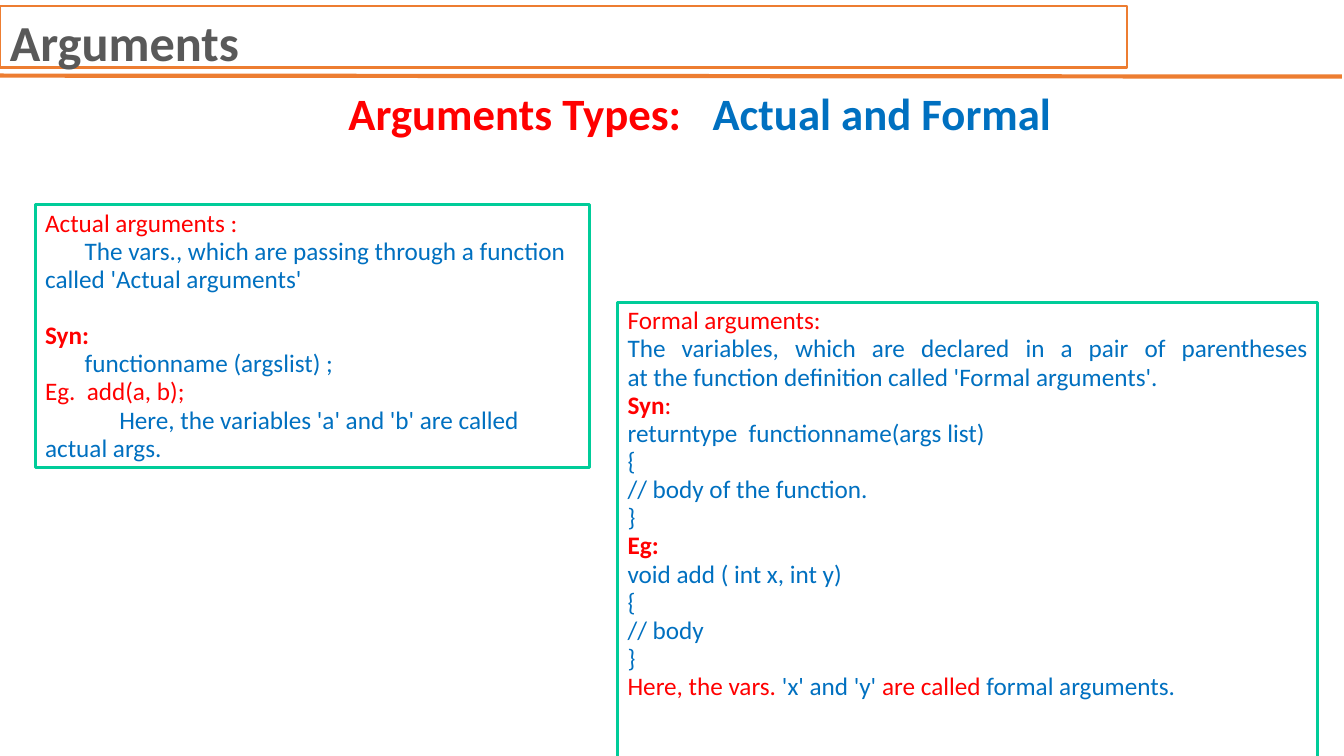
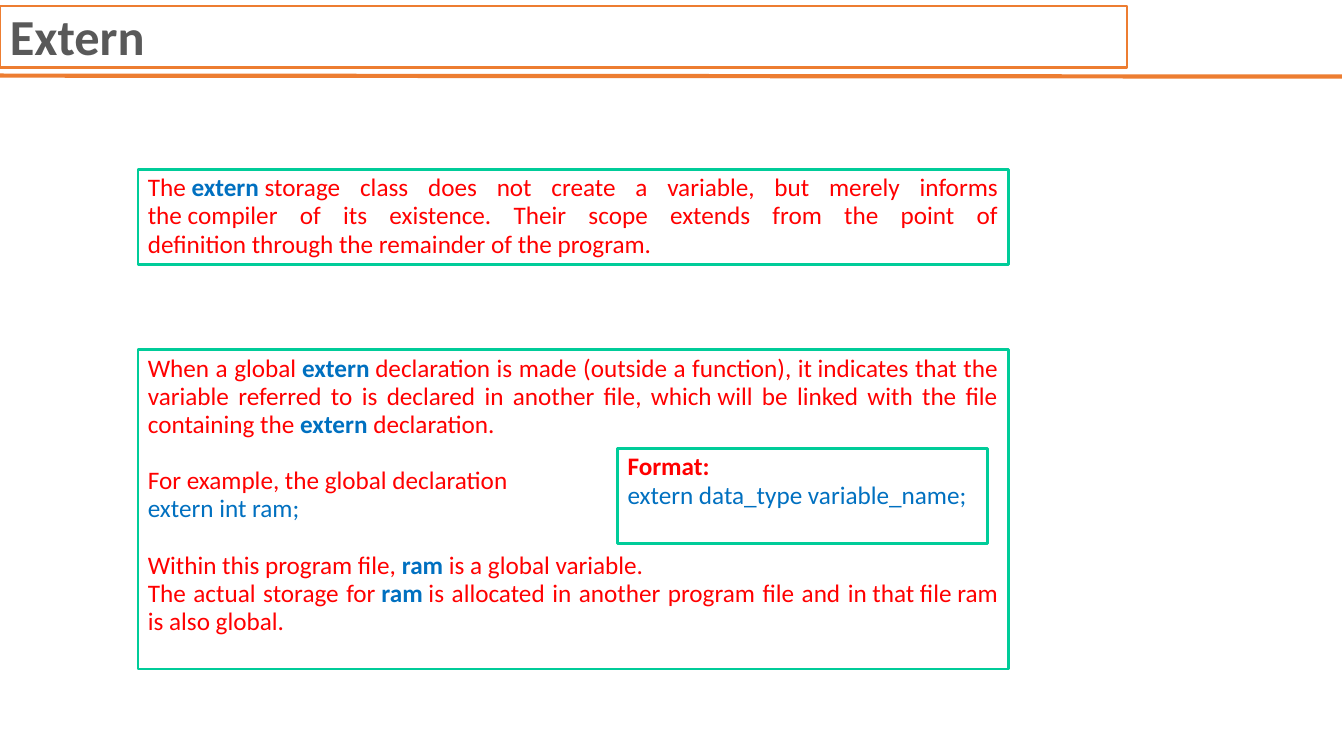
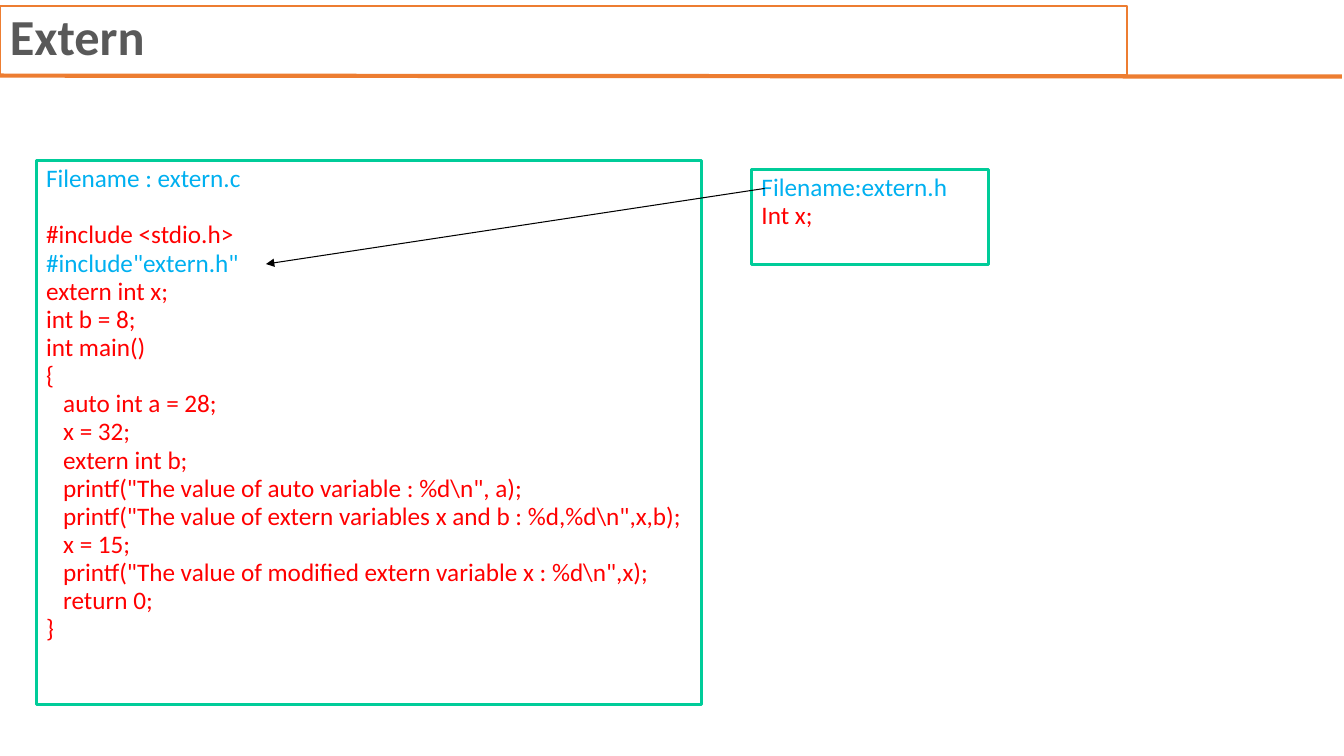
from dataclasses import dataclass

from lxml.etree import SubElement
from pptx import Presentation
from pptx.dml.color import RGBColor
from pptx.enum.shapes import MSO_CONNECTOR, MSO_SHAPE
from pptx.enum.text import MSO_ANCHOR, PP_ALIGN
from pptx.oxml.ns import qn
from pptx.util import Pt


@dataclass(frozen=True)
class Theme:
    font: str = "Calibri"
    title_size: float = 36
    heading_size: float = 32
    body_size: float = 18
    spacing: float = 0.93
    skipped_line: float = 20.1
    title: str = "595959"
    accent: str = "ED7D31"
    frame: str = "00CC99"
    paper: str = "FFFFFF"
    arrow: str = "000000"
    red: str = "FF0000"
    blue: str = "0070C0"
    cyan: str = "00B0F0"


THEME = Theme()

# Run styles: colour and bold
RED, BLUE, CYAN = (THEME.red, False), (THEME.blue, False), (THEME.cyan, False)
RED_BOLD, BLUE_BOLD = (THEME.red, True), (THEME.blue, True)


class Line:
    """One paragraph; runs alternate style and text, ~ is a non-breaking space."""

    def __init__(self, *runs, gap=False, indent=0, tab=0):
        self.runs = list(zip(runs[::2], runs[1::2]))
        self.gap, self.indent, self.tab = gap, indent, tab


# Content: box = (left, top, width, height), justified, lines
HEADING = ((241.9, 61.2, 524.9, 78.5), [
    Line(RED_BOLD, "Arguments Types:\t", BLUE_BOLD, "Actual and Formal", tab=260.3)])

ACTUAL = ((25.2, 146.2, 396, 187.9), False, [
    Line(RED, "Actual arguments :"),
    Line(BLUE, "The vars., which are passing through a function called 'Actual arguments'",
         indent=28.3),
    Line(RED_BOLD, "Syn:", gap=True),
    Line(BLUE, "functionname~(argslist) ;", indent=28.3),
    Line(RED, "Eg.\tadd(a, b);", tab=29.8),
    Line(BLUE, "Here, the variables 'a' and 'b' are called actual~args.", indent=53)])

FORMAL = ((441.4, 216, 500.4, 328.3), True, [
    Line(RED, "Formal arguments:"),
    Line(BLUE, "The variables, which are declared in a pair of parentheses "
               "at~the~function definition called 'Formal arguments'."),
    Line(RED_BOLD, "Syn", RED, ":"),
    Line(BLUE, "returntype\tfunctionname(args~list)", tab=86.5),
    Line(BLUE, "{"),
    Line(BLUE, "// body of the function."),
    Line(BLUE, "}"),
    Line(RED_BOLD, "Eg:"),
    Line(BLUE, "void add ( int x, int y)"),
    Line(BLUE, "{"),
    Line(BLUE, "// body"),
    Line(BLUE, "}"),
    Line(RED, "Here, the vars.~", BLUE, "'x' and 'y'", RED, "~are called~",
         BLUE, "formal arguments.")])

STORAGE = ((98.6, 121, 622.1, 67.7), True, [
    Line(RED, "The~", BLUE_BOLD, "extern",
         RED, "~storage class does not create a variable, but merely informs "
              "the~compiler of its existence. Their scope extends from the point of "
              "definition~through the remainder of the program.")])

DECLARATION = ((98.6, 249.8, 622.1, 228.2), True, [
    Line(RED, "When a global~", BLUE_BOLD, "extern",
         RED, "~declaration is made (outside a function), it~indicates that the variable "
              "referred to is declared in another file, which~will be linked with the file "
              "containing the~",
         BLUE_BOLD, "extern", RED, "~declaration."),
    Line(RED, "For example, the global declaration", gap=True),
    Line(BLUE, "extern int ram;"),
    Line(RED, "Within this program file,~", BLUE_BOLD, "ram",
         RED, "~is a global variable.", gap=True),
    Line(RED, "The actual storage for~", BLUE_BOLD, "ram",
         RED, "~is allocated in another program file and in~that~file~ram is also global.")])

FORMAT = ((441.4, 320.4, 264.2, 67.7), True, [
    Line(RED_BOLD, "Format:"),
    Line(BLUE, "extern~data_type~variable_name;")])

MAIN_BODY = [
    "auto int a = 28;",
    "x = 32;",
    "extern int b;",
    'printf("The value of auto variable : %d\\n", a);',
    'printf("The value of extern variables x and b : %d,%d\\n",x,b);',
    "x = 15;",
    'printf("The value of modified extern variable x : %d\\n",x);',
    "return 0;"]

PROGRAM = ((25.9, 114.5, 475.2, 388.8), True, [
    Line(CYAN, "Filename : extern.c"),
    Line(RED, "#include <stdio.h>", gap=True),
    Line(CYAN, '#include"extern.h"'),
    *[Line(RED, code) for code in ("extern int x;", "int b = 8;", "int main()", "{")],
    *[Line(RED, code, indent=12.2) for code in MAIN_BODY],
    Line(RED, "}")])

HEADER_FILE = ((537.1, 121, 169.2, 67.7), False, [
    Line(CYAN, "Filename:extern.h"),
    Line(RED, "Int x;")])

INCLUDE_ARROW = (546.5, 134.6, 190.1, 188.6)

# Slides: title, title box height, title line spacing, framed boxes
SLIDES = [
    ("Arguments", 43.9, 1.0, [ACTUAL, FORMAL]),
    ("Extern", 43.9, THEME.spacing, [STORAGE, DECLARATION, FORMAT]),
    ("Extern", 49, THEME.spacing, [PROGRAM, HEADER_FILE])]


# Shared drawing
def style_run(run, size, colour, bold):
    run.font.name, run.font.size, run.font.bold = THEME.font, Pt(size), bold
    run.font.color.rgb = RGBColor.from_string(colour)


def write_lines(frame, lines, size, justified=False, spacing=THEME.spacing):
    frame.word_wrap = True
    frame.vertical_anchor = MSO_ANCHOR.TOP
    for number, line in enumerate(lines):
        paragraph = frame.add_paragraph() if number else frame.paragraphs[0]
        paragraph.alignment = PP_ALIGN.JUSTIFY if justified else PP_ALIGN.LEFT
        paragraph.line_spacing = spacing
        paragraph.space_before = Pt(THEME.skipped_line if line.gap else 0)
        properties = paragraph._p.get_or_add_pPr()
        if line.indent:
            properties.set("indent", str(Pt(line.indent)))
        if line.tab:
            stops = SubElement(properties, qn("a:tabLst"))
            SubElement(stops, qn("a:tab"), pos=str(Pt(line.tab)), algn="l")
        for (colour, bold), text in line.runs:
            run = paragraph.add_run()
            run.text = text.replace("~", "\u00a0")
            style_run(run, size, colour, bold)


def add_frame(slide, box, colour, weight, fill=None):
    frame = slide.shapes.add_shape(MSO_SHAPE.RECTANGLE, *map(Pt, box))
    frame.shadow.inherit = False
    if fill:
        frame.fill.solid()
        frame.fill.fore_color.rgb = RGBColor.from_string(fill)
    else:
        frame.fill.background()
    frame.line.color.rgb = RGBColor.from_string(colour)
    frame.line.width = Pt(weight)
    return frame.text_frame


def add_line(slide, ends, colour, weight, arrow=False):
    line = slide.shapes.add_connector(MSO_CONNECTOR.STRAIGHT, *map(Pt, ends))
    line.line.color.rgb = RGBColor.from_string(colour)
    line.line.width = Pt(weight)
    if arrow:
        SubElement(line.line._get_or_add_ln(), qn("a:tailEnd"), type="triangle")
    SubElement(line._element.spPr, qn("a:effectLst"))


def add_titled_slide(deck, title, height, spacing):
    slide = deck.slides.add_slide(deck.slide_layouts[6])
    add_line(slide, (-0.7, 54, 959, 54.7), THEME.accent, 3)
    band = add_frame(slide, (0, 4.3, 805.7, height), THEME.accent, 1.5)
    write_lines(band, [Line((THEME.title, True), title)], THEME.title_size, spacing=spacing)
    return slide


# Build
deck = Presentation()
deck.slide_width, deck.slide_height = Pt(960.48), Pt(540)

for title, height, spacing, boxes in SLIDES:
    slide = add_titled_slide(deck, title, height, spacing)
    for box, justified, lines in boxes:
        text = add_frame(slide, box, THEME.frame, 2, THEME.paper)
        write_lines(text, lines, THEME.body_size, justified)

# Heading of the first slide, arrow of the last
arguments_slide, *_, program_slide = deck.slides
heading_box, heading_lines = HEADING
heading = arguments_slide.shapes.add_textbox(*map(Pt, heading_box))
write_lines(heading.text_frame, heading_lines, THEME.heading_size)
add_line(program_slide, INCLUDE_ARROW, THEME.arrow, 0.74, arrow=True)

deck.save("out.pptx")
